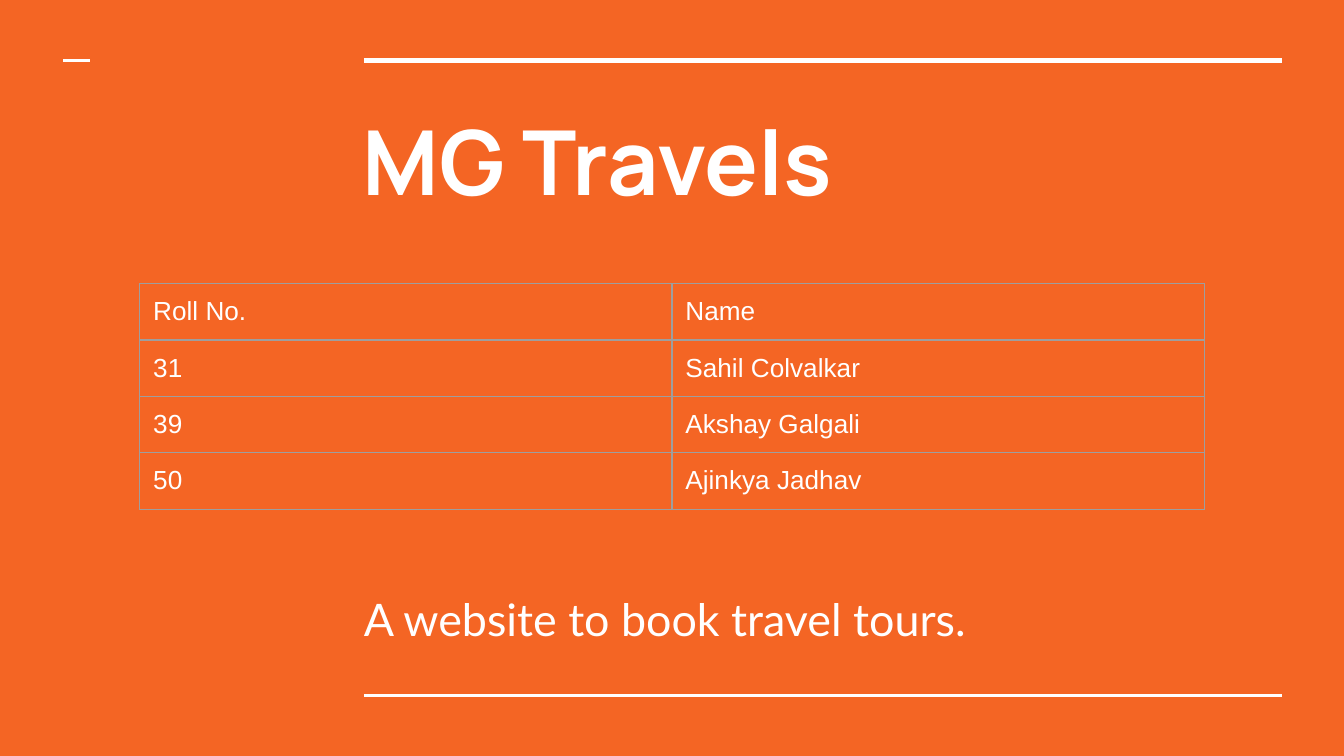
from dataclasses import dataclass

from lxml.etree import SubElement
from pptx import Presentation
from pptx.dml.color import RGBColor
from pptx.enum.shapes import MSO_CONNECTOR
from pptx.enum.text import MSO_ANCHOR as Anchor
from pptx.oxml.ns import qn
from pptx.util import Inches, Pt

SLIDE_W = 10
SLIDE_H = SLIDE_W * 9 / 16
COLORS = {"background": "F46524", "text": "FFFFFF", "rule": "FFFFFF", "border": "9E9E9E"}
INSET = 0.1
CELL_BOTTOM_INSET = 0.08
CONTENT_LEFT, CONTENT_RIGHT = 2.71, 9.54
TOP_RULE = 0.45
BOTTOM_RULE = SLIDE_H - TOP_RULE
COL_W, ROW_H = 3.96, 0.42
TABLE_TOP = 2.11
ROWS = [
    ("Roll No.", "Name"),
    ("31", "Sahil Colvalkar"),
    ("39", "Akshay Galgali"),
    ("50", "Ajinkya Jadhav"),
]


@dataclass
class Rule:
    left: float
    right: float
    y: float
    weight: float


@dataclass
class Label:
    text: str
    left: float
    top: float
    height: float
    font: str
    size: int
    bold: bool = False
    anchor: Anchor = Anchor.TOP


RULES = [
    Rule(CONTENT_LEFT, CONTENT_RIGHT, TOP_RULE, 3),
    Rule(CONTENT_LEFT, CONTENT_RIGHT, BOTTOM_RULE, 1.5),
    Rule(0.47, 0.67, TOP_RULE, 1.5),
]
LABELS = [
    Label("MG Travels", 2.6, 0.69, 1.69, "Manrope", 48, bold=True),
    Label("A website to book travel tours.", 2.61, 3.54, 1.36, "Lato", 24, anchor=Anchor.BOTTOM),
]


def color(name: str) -> RGBColor:
    return RGBColor.from_string(COLORS[name])


def set_text(tf, text: str, font: str, size: int, bold: bool = False) -> None:
    tf.text = text
    f = tf.paragraphs[0].runs[0].font
    f.name, f.size, f.bold = font, Pt(size), bold
    f.color.rgb = color("text")


def set_insets(box, bottom: float = INSET) -> None:
    box.margin_left = box.margin_right = box.margin_top = Inches(INSET)
    box.margin_bottom = Inches(bottom)


def add_rule(slide, rule: Rule) -> None:
    y = Inches(rule.y)
    sp = slide.shapes.add_connector(
        MSO_CONNECTOR.STRAIGHT, Inches(rule.left), y, Inches(rule.right), y)
    sp.line.color.rgb = color("rule")
    sp.line.width = Pt(rule.weight)
    SubElement(sp._element.spPr, qn("a:effectLst"))


def add_label(slide, label: Label) -> None:
    sp = slide.shapes.add_textbox(
        Inches(label.left), Inches(label.top), Inches(6.92), Inches(label.height))
    tf = sp.text_frame
    tf.word_wrap = True
    tf.vertical_anchor = label.anchor
    set_insets(tf)
    set_text(tf, label.text, label.font, label.size, label.bold)


def set_borders(cell, weight: float) -> None:
    """Put the four borders ahead of the cell's fill, as the schema requires."""
    tc_pr = cell._tc.get_or_add_tcPr()
    for i, side in enumerate(("lnL", "lnR", "lnT", "lnB")):
        ln = SubElement(tc_pr, qn(f"a:{side}"), w=str(Pt(weight)))
        SubElement(SubElement(ln, qn("a:solidFill")), qn("a:srgbClr"), val=COLORS["border"])
        tc_pr.insert(i, ln)


def add_roster(slide) -> None:
    n_rows, n_cols = len(ROWS), len(ROWS[0])
    width = n_cols * COL_W
    table = slide.shapes.add_table(
        n_rows, n_cols, Inches((SLIDE_W - width) / 2), Inches(TABLE_TOP),
        Inches(width), Inches(n_rows * ROW_H)).table
    table.first_row = table.horz_banding = False
    for r, row in enumerate(ROWS):
        for c, text in enumerate(row):
            cell = table.cell(r, c)
            cell.fill.background()
            set_insets(cell, CELL_BOTTOM_INSET)
            set_text(cell.text_frame, text, "Arial", 14)
            set_borders(cell, 0.75)


def main() -> None:
    prs = Presentation()
    prs.slide_width, prs.slide_height = Inches(SLIDE_W), Inches(SLIDE_H)
    slide = prs.slides.add_slide(prs.slide_layouts[6])
    fill = slide.background.fill
    fill.solid()
    fill.fore_color.rgb = color("background")
    for rule in RULES:
        add_rule(slide, rule)
    for label in LABELS:
        add_label(slide, label)
    add_roster(slide)
    prs.save("out.pptx")


if __name__ == "__main__":
    main()
